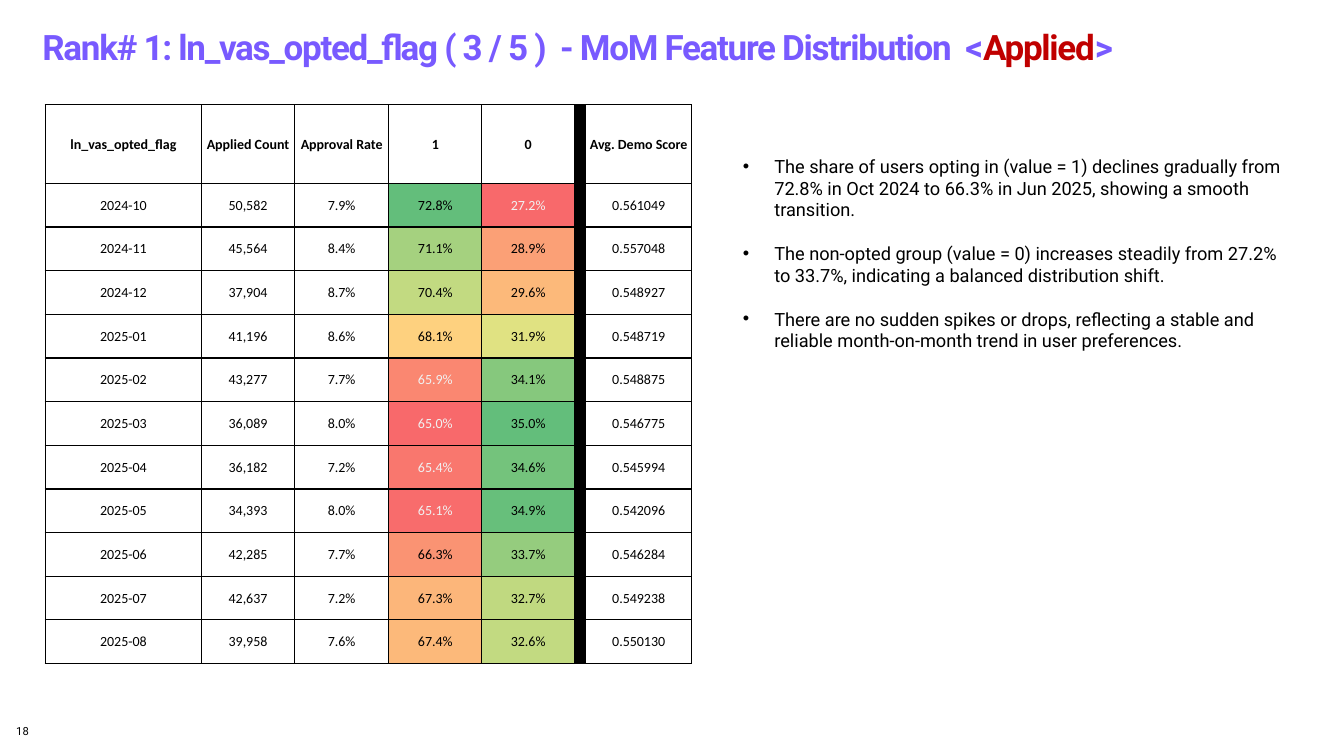
from lxml import etree
from pptx import Presentation
from pptx.dml.color import RGBColor
from pptx.enum.text import MSO_ANCHOR, MSO_AUTO_SIZE, PP_ALIGN
from pptx.oxml.ns import qn
from pptx.util import Cm, Pt

LEFT, CENTER = PP_ALIGN.LEFT, PP_ALIGN.CENTER
MIDDLE, TOP = MSO_ANCHOR.MIDDLE, MSO_ANCHOR.TOP
NO_AUTOFIT, GROW = MSO_AUTO_SIZE.NONE, MSO_AUTO_SIZE.SHAPE_TO_FIT_TEXT

BLACK, WHITE, PALE = "000000", "FFFFFF", "F1F1F1"
PURPLE, DARK_RED = "785AFF", "C00000"

TITLE_RUNS = [
    ("Rank# 1: ln_vas_opted_flag ( 3 / 5 )  - MoM Feature Distribution  <", PURPLE),
    ("Applied", DARK_RED),
    (">", PURPLE),
]
FINDINGS = [
    "The share of users opting in (value = 1) declines gradually from 72.8% in Oct 2024 "
    "to 66.3% in Jun 2025, showing a smooth transition.",
    "The non-opted group (value = 0) increases steadily from 27.2% to 33.7%, "
    "indicating a balanced distribution shift.",
    "There are no sudden spikes or drops, reflecting a stable and reliable "
    "month-on-month trend in user preferences.",
]

HEADERS = ["ln_vas_opted_flag", "Applied Count", "Approval Rate", "1", "0", "", "Avg. Demo Score"]
COLUMN_WIDTHS = [3.94, 2.34, 2.38, 2.34, 2.34, 0.28, 2.67]
HEADER_HEIGHT, ROW_HEIGHT = 1.98, 1.1
OPTED_COLUMN, NOT_OPTED_COLUMN, DIVIDER_COLUMN = 3, 4, 5
# Month, applied count, approval rate, share of 1, share of 0, score, fill of 1, fill of 0
MONTHS = [
    ("2024-10", "50,582", "7.9%", "72.8%", "27.2%", "0.561049", "63BE7B", "F8696B"),
    ("2024-11", "45,564", "8.4%", "71.1%", "28.9%", "0.557048", "A5D17F", "FBA076"),
    ("2024-12", "37,904", "8.7%", "70.4%", "29.6%", "0.548927", "C2DA81", "FCB97A"),
    ("2025-01", "41,196", "8.6%", "68.1%", "31.9%", "0.548719", "FED17F", "E0E282"),
    ("2025-02", "43,277", "7.7%", "65.9%", "34.1%", "0.548875", "FA8771", "86C87D"),
    ("2025-03", "36,089", "8.0%", "65.0%", "35.0%", "0.546775", "F8696B", "63BE7B"),
    ("2025-04", "36,182", "7.2%", "65.4%", "34.6%", "0.545994", "F9776E", "74C37C"),
    ("2025-05", "34,393", "8.0%", "65.1%", "34.9%", "0.542096", "F86C6C", "67BF7B"),
    ("2025-06", "42,285", "7.7%", "66.3%", "33.7%", "0.546284", "FA9373", "95CC7E"),
    ("2025-07", "42,637", "7.2%", "67.3%", "32.7%", "0.549238", "FCB67A", "C0D980"),
    ("2025-08", "39,958", "7.6%", "67.4%", "32.6%", "0.550130", "FCB97A", "C2DA81"),
]


def color(hex_value):
    return RGBColor.from_string(hex_value)


def format_font(font, name, size, hex_value=None, bold=False):
    font.name, font.size, font.bold = name, Pt(size), bold
    if hex_value:
        font.color.rgb = color(hex_value)


def place(shape, left, top, width, height):
    shape.left, shape.top = Cm(left), Cm(top)
    shape.width, shape.height = Cm(width), Cm(height)


def clear_margins(text_frame):
    text_frame.margin_left = text_frame.margin_right = 0
    text_frame.margin_top = text_frame.margin_bottom = 0


def fill_title(title):
    place(title, 1.07, 0.46, 32.8, 1.3)
    text_frame = title.text_frame
    clear_margins(text_frame)
    text_frame.auto_size = NO_AUTOFIT
    text_frame.vertical_anchor = MIDDLE
    paragraph = text_frame.paragraphs[0]
    paragraph.alignment = LEFT
    paragraph.line_spacing = 1.1
    format_font(paragraph.font, "Roboto", 25, bold=True)
    for text, hex_value in TITLE_RUNS:
        run = paragraph.add_run()
        run.text = text
        run.font.color.rgb = color(hex_value)
        run._r.get_or_add_rPr().set("spc", "-90")


def add_bullet(paragraph):
    properties = paragraph._p.get_or_add_pPr()
    properties.set("marL", str(Cm(0.79)))
    properties.set("indent", str(Cm(-0.79)))
    etree.SubElement(properties, qn("a:buFont"), typeface="Arial")
    etree.SubElement(properties, qn("a:buChar"), char="•")


def fill_findings(body):
    place(body, 18.47, 3.78, 14.25, 4.7)
    text_frame = body.text_frame
    text_frame.word_wrap = True
    text_frame.auto_size = GROW
    text_frame.vertical_anchor = TOP
    for index, finding in enumerate(FINDINGS):
        paragraph = text_frame.add_paragraph() if index else text_frame.paragraphs[0]
        paragraph.text = finding
        add_bullet(paragraph)
        paragraph.space_before = Pt(15.5 if index else 0)
        format_font(paragraph.font, "Roboto", 13, BLACK)


def add_page_number(slide, number):
    box = slide.shapes.add_textbox(Cm(0.41), Cm(18.26), Cm(7.42), Cm(0.64))
    clear_margins(box.text_frame)
    box.text_frame.word_wrap = True
    paragraph = box.text_frame.paragraphs[0]
    paragraph.text = number
    format_font(paragraph.font, "Roboto", 8, BLACK)


def add_borders(cell):
    properties = cell._tc.get_or_add_tcPr()
    for side in ("lnL", "lnR", "lnT", "lnB"):
        line = etree.SubElement(properties, qn(f"a:{side}"), w=str(Pt(1)))
        solid = etree.SubElement(line, qn("a:solidFill"))
        etree.SubElement(solid, qn("a:srgbClr"), val=BLACK)


def format_cell(cell, text, fill, bold):
    cell.margin_left = cell.margin_right = cell.margin_top = Cm(0.02)
    cell.margin_bottom = 0
    cell.vertical_anchor = MIDDLE
    add_borders(cell)
    cell.fill.solid()
    cell.fill.fore_color.rgb = color(fill)
    paragraph = cell.text_frame.paragraphs[0]
    paragraph.text = text
    paragraph.alignment = CENTER
    # Strong red fills carry pale text
    is_red = fill != BLACK and color(fill)[1] < 0x90
    format_font(paragraph.font, "Calibri", 10, PALE if is_red else BLACK, bold)


def add_month_table(slide):
    rows = [(HEADERS, {})]
    for *values, score, opted_fill, not_opted_fill in MONTHS:
        fills = {OPTED_COLUMN: opted_fill, NOT_OPTED_COLUMN: not_opted_fill}
        rows.append(([*values, "", score], fills))
    height = HEADER_HEIGHT + ROW_HEIGHT * len(MONTHS)
    frame = slide.shapes.add_table(len(rows), len(HEADERS), Cm(1.14), Cm(2.64),
                                   Cm(sum(COLUMN_WIDTHS)), Cm(height))
    table = frame.table
    table.first_row = table.horz_banding = False
    for column, width in zip(table.columns, COLUMN_WIDTHS):
        column.width = Cm(width)
    for row_index, (texts, fills) in enumerate(rows):
        is_header = row_index == 0
        table.rows[row_index].height = Cm(HEADER_HEIGHT if is_header else ROW_HEIGHT)
        for column_index, text in enumerate(texts):
            fill = BLACK if column_index == DIVIDER_COLUMN else fills.get(column_index, WHITE)
            format_cell(table.cell(row_index, column_index), text, fill, is_header)


def main():
    presentation = Presentation()
    presentation.slide_width, presentation.slide_height = Cm(33.87), Cm(19.05)
    slide = presentation.slides.add_slide(presentation.slide_layouts[1])

    # Heading, findings and page number
    fill_title(slide.shapes.title)
    fill_findings(slide.placeholders[1])
    add_page_number(slide, "18")

    # Monthly distribution
    add_month_table(slide)

    presentation.save("out.pptx")


if __name__ == "__main__":
    main()
